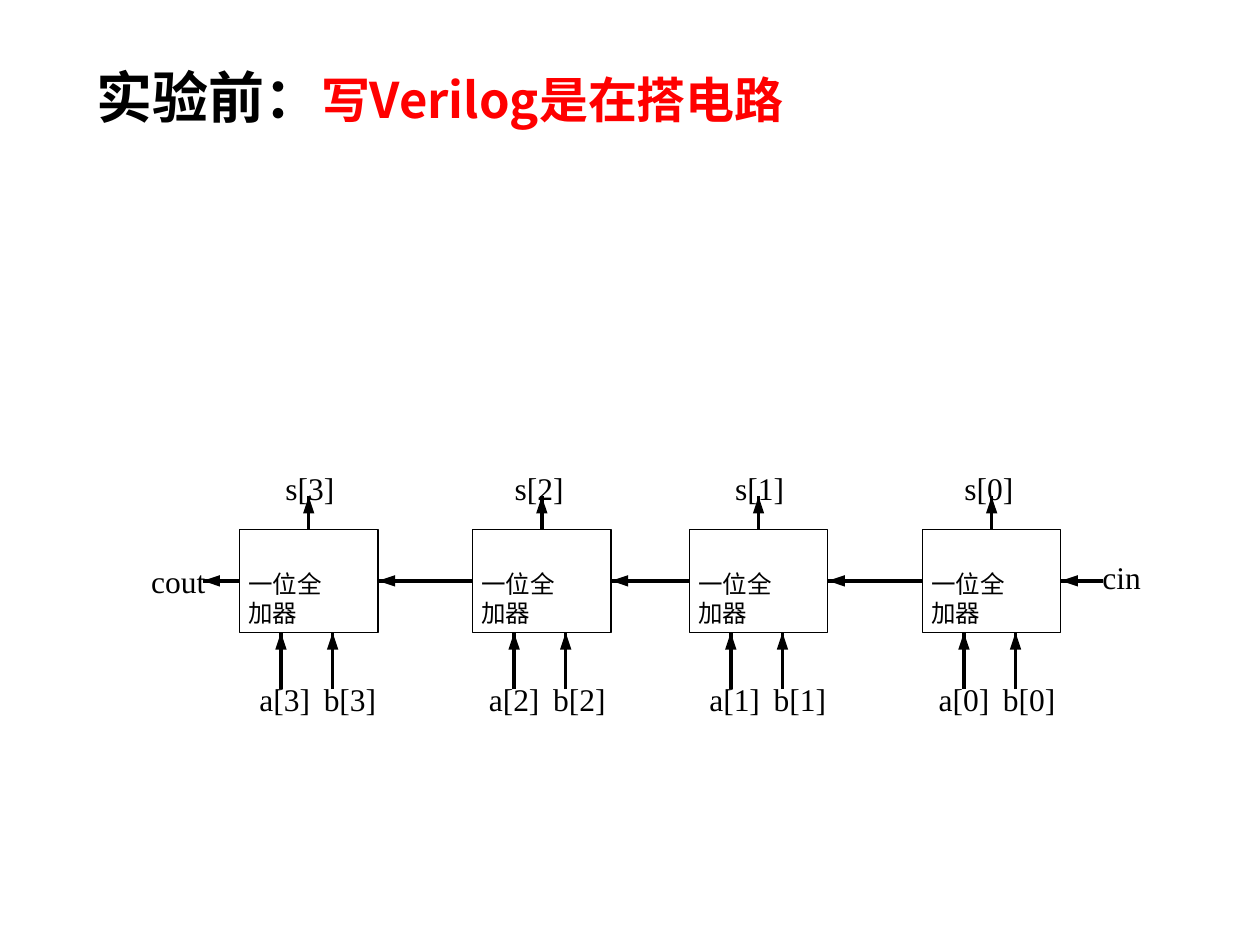
from math import hypot

from lxml import etree
from pptx import Presentation
from pptx.dml.color import RGBColor
from pptx.enum.shapes import MSO_CONNECTOR, MSO_SHAPE
from pptx.enum.text import MSO_ANCHOR, PP_ALIGN
from pptx.oxml.ns import qn
from pptx.util import Inches, Pt

STRAIGHT = MSO_CONNECTOR.STRAIGHT
RECTANGLE = MSO_SHAPE.RECTANGLE
TOP, MIDDLE = MSO_ANCHOR.TOP, MSO_ANCHOR.MIDDLE
LEFT = PP_ALIGN.LEFT
TOP_SIDE, LEFT_SIDE, RIGHT_SIDE = 0, 1, 3

COLUMNS, ROWS = 100, 75
BLACK, WHITE, RED = "000000", "FFFFFF", "FF0000"
CJK, LATIN = "Noto Sans CJK SC", "Times New Roman"


def rgb(value):
    return RGBColor.from_string(value)


class Diagram:
    """Style and current slide; all lengths are in grid columns and rows."""

    def __init__(self, prs):
        self.slide = prs.slides.add_slide(prs.slide_layouts[6])
        self.shapes = self.slide.shapes
        self.cell = prs.slide_width // COLUMNS
        self.head_length, self.head_half = 1.35, 0.45

    def units(self, *lengths):
        return [round(length * self.cell) for length in lengths]

    def fill_text(self, frame, runs, margins, anchor=TOP, spacing=None, wrap=True):
        """Fill a frame with (text, font, size, colour, bold) runs."""
        left, top, right, bottom = self.units(*margins)
        layout = {"margin_left": left, "margin_top": top, "margin_right": right,
                  "margin_bottom": bottom, "vertical_anchor": anchor, "word_wrap": wrap}
        for name, value in layout.items():
            setattr(frame, name, value)
        paragraph = frame.paragraphs[0]
        paragraph.alignment = LEFT
        paragraph.line_spacing = spacing
        for text, face, size, colour, bold in runs:
            run = paragraph.add_run()
            run.text = text
            run.font.color.rgb = rgb(colour)
            for name, value in {"name": face, "size": Pt(size), "bold": bold}.items():
                setattr(run.font, name, value)
            etree.SubElement(run.font._element, qn("a:ea"), typeface=face)

    def title(self, bounds, runs):
        box = self.shapes.add_textbox(*self.units(*bounds))
        self.fill_text(box.text_frame, runs, (1, 0.5, 1, 0.5), MIDDLE)

    def signal(self, left, top, text):
        box = self.shapes.add_textbox(*self.units(left, top, 5, 3))
        self.fill_text(box.text_frame, [(text, LATIN, 18, BLACK, False)],
                       (0, 0, 0, 0), wrap=False)

    def block(self, bounds, text):
        box = self.shapes.add_shape(RECTANGLE, *self.units(*bounds))
        box.shadow.inherit = False
        box.fill.solid()
        box.fill.fore_color.rgb = rgb(WHITE)
        box.line.color.rgb = rgb(BLACK)
        box.line.width = Pt(0)
        self.fill_text(box.text_frame, [(text, CJK, 14, BLACK, False)],
                       (0.7, 3.1, 4.2, 0), spacing=Pt(17))
        return box

    def arrow(self, start, end, source=None, target=None):
        """Draw a hairline with a solid head; source and target are (block, side)."""
        line = self.shapes.add_connector(STRAIGHT, *self.units(*start, *end))
        line.line.color.rgb = rgb(BLACK)
        line.line.width = Pt(0)
        etree.SubElement(line._element.spPr, qn("a:effectLst"))
        if source:
            line.begin_connect(*source)
        if target:
            line.end_connect(*target)
        self.head(start, end)

    def head(self, start, tip):
        dx, dy = tip[0] - start[0], tip[1] - start[1]
        length = hypot(dx, dy)
        dx, dy = dx / length, dy / length
        base_x, base_y = tip[0] - dx * self.head_length, tip[1] - dy * self.head_length
        corners = [(base_x + side * dy * self.head_half, base_y - side * dx * self.head_half)
                   for side in (-1, 1)]
        outline = self.shapes.build_freeform(*self.units(*tip))
        outline.add_line_segments([self.units(*corner) for corner in corners])
        triangle = outline.convert_to_shape()
        triangle.shadow.inherit = False
        triangle.fill.solid()
        triangle.fill.fore_color.rgb = rgb(BLACK)
        triangle.line.fill.background()


def draw_adder(diagram):
    width, height, top = 11, 8.2, 42
    bottom, carry_row = top + height, top + height / 2
    # bit: (block column, column of its signal names)
    stages = {3: (19, 20.6), 2: (37.5, 38.8), 1: (54.7, 56.3), 0: (73.2, 74.5)}
    adders = {bit: diagram.block((left, top, width, height), "一位全加器")
              for bit, (left, _) in stages.items()}

    for bit, (left, names) in stages.items():
        middle, right = left + width / 2, left + width
        diagram.arrow((middle, top), (middle, 39.4), (adders[bit], TOP_SIDE))
        for offset in (3.3, 7.4):
            diagram.arrow((left + offset, 54.7), (left + offset, bottom))
        diagram.signal(names + 2.05, 37.2, f"s[{bit}]")
        diagram.signal(names, 54, f"a[{bit}]")
        diagram.signal(names + 5.1, 54, f"b[{bit}]")

        lower = bit - 1
        carry_start = stages[lower][0] if bit else 87.5
        source = (adders[lower], LEFT_SIDE) if bit else None
        diagram.arrow((carry_start, carry_row), (right, carry_row),
                      source, (adders[bit], RIGHT_SIDE))

    diagram.arrow((stages[3][0], carry_row), (16.1, carry_row), (adders[3], LEFT_SIDE))
    diagram.signal(12, 44.6, "cout")
    diagram.signal(87.5, 44.3, "cin")


def main():
    prs = Presentation()
    prs.slide_width, prs.slide_height = Inches(COLUMNS / 10), Inches(ROWS / 10)
    diagram = Diagram(prs)
    diagram.title((6.7, 4.4, 84.3, 6.4), [
        ("实验前：", CJK, 32, BLACK, True),
        ("写Verilog是在搭电路", CJK, 28, RED, True),
    ])
    draw_adder(diagram)
    prs.save("out.pptx")


if __name__ == "__main__":
    main()
